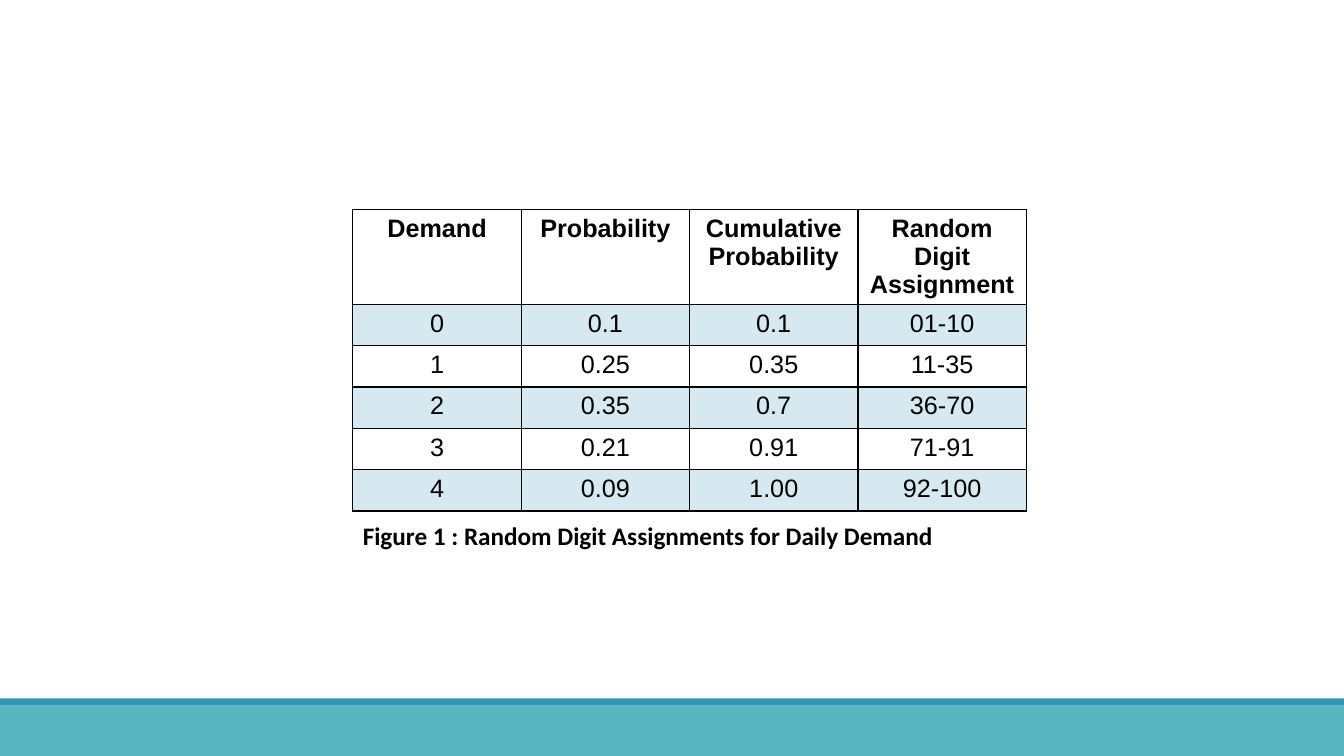
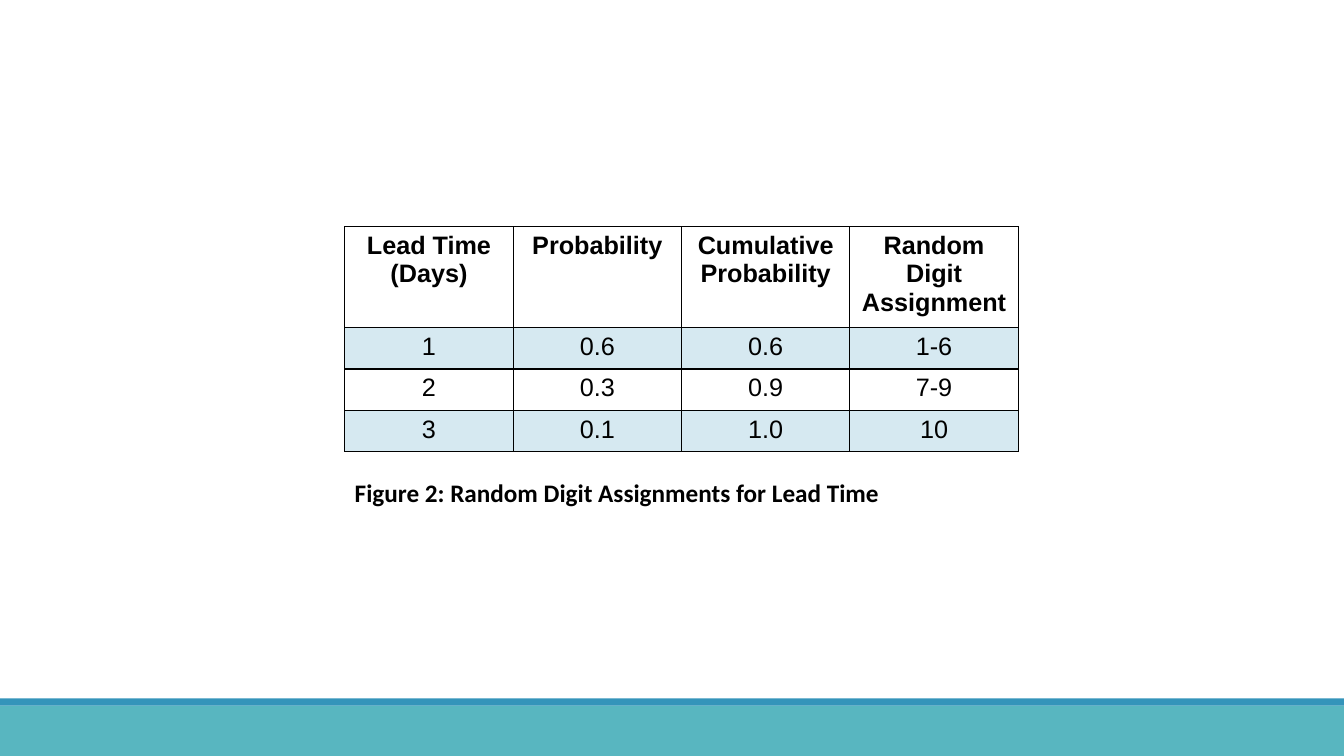
"""Two slides of random digit assignment tables over a shared footer band."""
from pptx import Presentation
from pptx.dml.color import RGBColor
from pptx.enum.shapes import MSO_SHAPE
from pptx.enum.text import MSO_AUTO_SIZE, PP_ALIGN
from pptx.oxml import parse_xml
from pptx.oxml.ns import nsdecls, qn
from pptx.util import Inches, Pt

BLUE = RGBColor(0x34, 0x94, 0xBA)
TEAL = RGBColor(0x58, 0xB6, 0xC0)
BLACK = RGBColor(0, 0, 0)
WHITE = RGBColor(0xFF, 0xFF, 0xFF)
COL_W, ROW_H = 1.67, 0.41
SHARED_HEADS = ["Probability", "Cumulative Probability", "Random Digit Assignment"]

TABLES = [
    {
        "left": 3.5, "top": 2.08, "head_h": 0.94, "caption_top": 5.11,
        "caption": "Figure 1 : Random Digit Assignments for Daily Demand",
        "rows": [
            ["Demand", *SHARED_HEADS],
            ["0", "0.1", "0.1", "01-10"],
            ["1", "0.25", "0.35", "11-35"],
            ["2", "0.35", "0.7", "36-70"],
            ["3", "0.21", "0.91", "71-91"],
            ["4", "0.09", "1.00", "92-100"],
        ],
    },
    {
        "left": 3.42, "top": 2.25, "head_h": 1.0, "caption_top": 4.69,
        "caption": "Figure 2: Random Digit Assignments for Lead Time",
        "rows": [
            ["Lead Time (Days)", *SHARED_HEADS],
            ["1", "0.6", "0.6", "1-6"],
            ["2", "0.3", "0.9", "7-9"],
            ["3", "0.1", "1.0", "10"],
        ],
    },
]


def write(tf, text, font, bold, align):
    p = tf.paragraphs[0]
    p.alignment = align
    r = p.add_run()
    r.text = text
    for name, value in {"name": font, "size": Pt(18), "bold": bold}.items():
        setattr(r.font, name, value)
    r.font.color.rgb = BLACK


def style_cell(cell, tinted):
    tcPr = cell._tc.get_or_add_tcPr()
    for side in ("lnL", "lnR", "lnT", "lnB"):
        tcPr.append(parse_xml(
            f'<a:{side} {nsdecls("a")} w="{Pt(1)}"><a:solidFill>'
            f'<a:srgbClr val="{BLACK}"/></a:solidFill></a:{side}>'))
    cell.fill.solid()
    cell.fill.fore_color.rgb = BLUE if tinted else WHITE
    if tinted:
        color = tcPr.find(qn("a:solidFill"))[0]
        color.append(parse_xml(f'<a:alpha {nsdecls("a")} val="20000"/>'))


prs = Presentation()
prs.slide_width, prs.slide_height = Inches(13.33), Inches(7.5)
blank = prs.slide_layouts.get_by_name("Blank")
slides = [prs.slides.add_slide(blank) for _ in TABLES]

for top, height, color in [(7, 0.5, TEAL), (6.93, 0.07, BLUE)]:
    band = slides[0].shapes.add_shape(
        MSO_SHAPE.RECTANGLE, 0, Inches(top), prs.slide_width, Inches(height))
    band.shadow.inherit = False
    band.fill.solid()
    band.fill.fore_color.rgb = color
    band.line.fill.background()
    prs.slide_master.shapes.element.append(band.element)

for s, spec_table in zip(slides, TABLES):
    rows, left = spec_table["rows"], Inches(spec_table["left"])
    heights = [spec_table["head_h"]] + [ROW_H] * (len(rows) - 1)
    table = s.shapes.add_table(
        len(rows), len(rows[0]), left, Inches(spec_table["top"]),
        Inches(COL_W * len(rows[0])), Inches(sum(heights))).table
    table.first_row = table.horz_banding = False
    for column in table.columns:
        column.width = Inches(COL_W)
    for i, (row, height) in enumerate(zip(rows, heights)):
        table.rows[i].height = Inches(height)
        for j, text in enumerate(row):
            cell = table.cell(i, j)
            style_cell(cell, tinted=i % 2 == 1)
            write(cell.text_frame, text, "Arial", i == 0, PP_ALIGN.CENTER)

    caption = s.shapes.add_textbox(
        left, Inches(spec_table["caption_top"]), Inches(7.74), Inches(0.4))
    tf = caption.text_frame
    tf.word_wrap = True
    tf.auto_size = MSO_AUTO_SIZE.SHAPE_TO_FIT_TEXT
    write(tf, spec_table["caption"], "Calibri", True, PP_ALIGN.LEFT)

prs.save("out.pptx")
